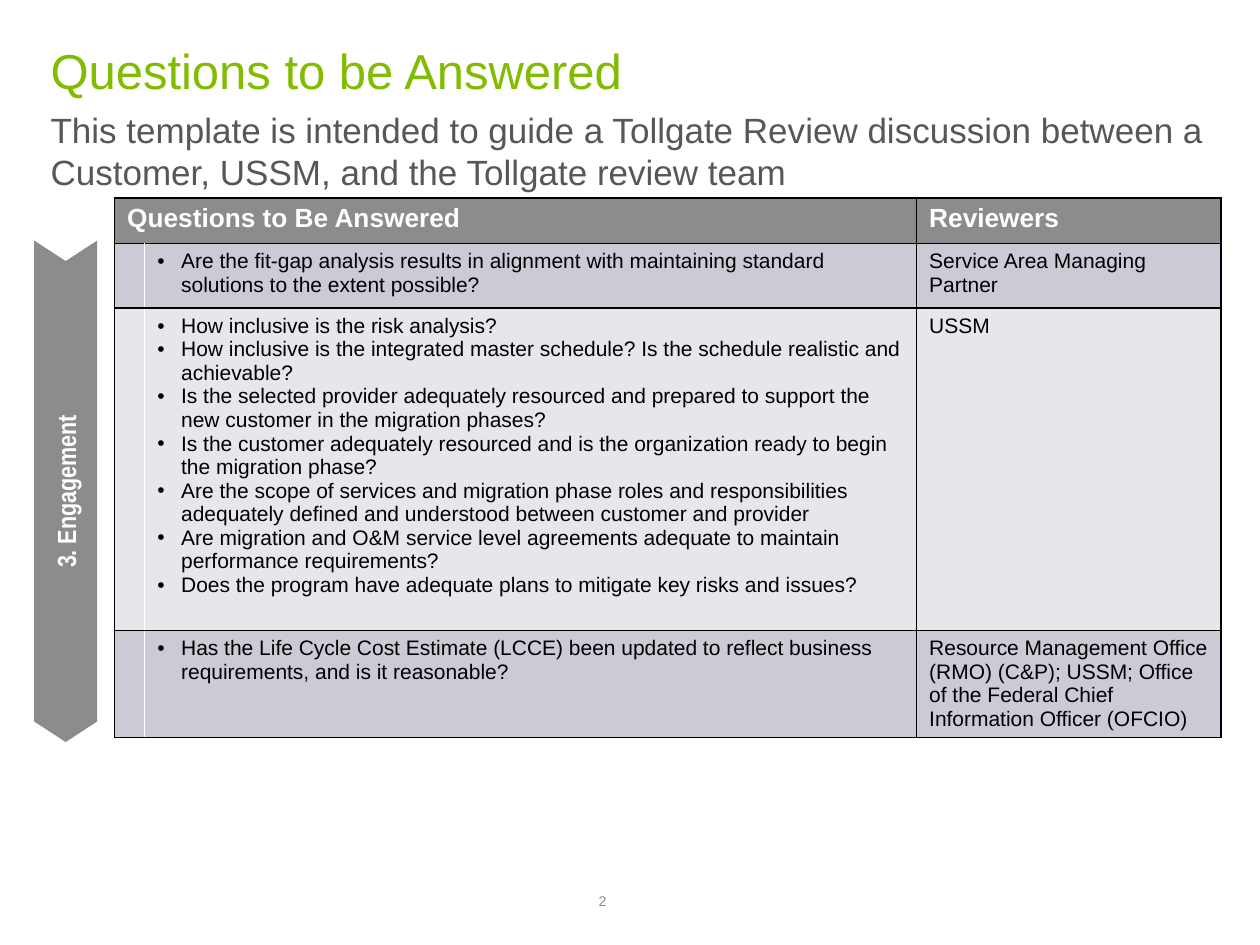
import pptx
import pptx.dml.color
import pptx.enum.shapes
import pptx.enum.text
import pptx.oxml
import pptx.oxml.ns
import pptx.util
from pptx.util import Cm

COLORS = {
    "title": "81BC00", "subtitle": "575757", "gray": "8C8C8C", "white": "FFFFFF",
    "black": "000000", "dark_band": "CACBD5", "light_band": "E6E7EB",
}
ANCHOR = pptx.enum.text.MSO_ANCHOR
COLUMN_WIDTHS = [0.6, 15.56, 6.14]
ROW_HEIGHTS = [0.92, 1.3, 6.5, 2.16]
HEADERS = ["Questions to Be Answered", "Reviewers"]
REVIEWS = [
    (["Are the fit-gap analysis results in alignment with maintaining standard solutions to the extent possible?"],
     "Service Area Managing Partner"),
    (["How inclusive is the risk analysis?",
      "How inclusive is the integrated master schedule? Is the schedule realistic and achievable?",
      "Is the selected provider adequately resourced and prepared to support the new customer in the migration phases?",
      "Is the customer adequately resourced and is the organization ready to begin the migration phase?",
      "Are the scope of services and migration phase roles and responsibilities adequately defined and understood "
      "between customer and provider",
      "Are migration and O&M service level agreements adequate to maintain performance requirements?",
      "Does the program have adequate plans to mitigate key risks and issues?"],
     "USSM"),
    (["Has the Life Cycle Cost Estimate (LCCE) been updated to reflect business requirements, and is it reasonable?"],
     "Resource Management Office (RMO) (C&P); USSM; Office of the Federal Chief Information Officer (OFCIO)"),
]


def rgb(name):
    """Return the named color."""
    return pptx.dml.color.RGBColor.from_string(COLORS[name])


def set_attributes(target, values):
    """Set each named attribute of the target."""
    for name, value in values.items():
        setattr(target, name, value)


def write_text(frame, lines, size, color, bold=False, font="Arial", align="LEFT"):
    """Write one formatted paragraph per line."""
    frame.text = "\n".join(lines)
    for paragraph in frame.paragraphs:
        paragraph.alignment = getattr(pptx.enum.text.PP_ALIGN, align)
        for run in paragraph.runs:
            set_attributes(run.font, {"name": font, "size": pptx.util.Pt(size), "bold": bold})
            run.font.color.rgb = rgb(color)


def format_box(shape, box, anchor=ANCHOR.TOP):
    """Place a shape and clear the insets of its text."""
    set_attributes(shape, dict(zip(("left", "top", "width", "height"), map(Cm, box))))
    set_attributes(shape.text_frame, {
        "margin_left": 0, "margin_top": 0, "margin_right": 0, "margin_bottom": 0,
        "word_wrap": True, "auto_size": pptx.enum.text.MSO_AUTO_SIZE.NONE, "vertical_anchor": anchor,
    })


def add_text(slide, box, text, size, color, anchor=ANCHOR.TOP):
    """Add a text box."""
    shape = slide.shapes.add_textbox(0, 0, 0, 0)
    format_box(shape, box, anchor)
    write_text(shape.text_frame, [text], size, color)


def add_phase_chevron(slide, box, text):
    """Add the downward chevron that names the phase."""
    shape = slide.shapes.add_shape(pptx.enum.shapes.MSO_SHAPE.CHEVRON, 0, 0, 0, 0)
    format_box(shape, box, ANCHOR.MIDDLE)
    shape.adjustments[0] = 0.326
    shape.rotation = 270
    shape.shadow.inherit = False
    shape.fill.solid()
    shape.fill.fore_color.rgb = rgb("gray")
    shape.line.fill.background()
    shape._element.spPr.find(pptx.oxml.ns.qn("a:xfrm")).set("flipH", "1")
    write_text(shape.text_frame, [text], 15, "white", True, "Arial Narrow", "CENTER")


def format_cell(cell, fill, left="black", right="black"):
    """Fill a cell and draw its four borders."""
    properties = cell._tc.get_or_add_tcPr()
    for side, color in zip("LRTB", (left, right, "black", "black")):
        properties.append(pptx.oxml.parse_xml(
            f'<a:ln{side} {pptx.oxml.ns.nsdecls("a")} w="12700"><a:solidFill>'
            f'<a:srgbClr val="{COLORS[color]}"/></a:solidFill></a:ln{side}>'))
    cell.fill.solid()
    cell.fill.fore_color.rgb = rgb(fill)


def add_bullets(frame):
    """Give each paragraph a hanging bullet."""
    for paragraph in frame.paragraphs:
        properties = paragraph._p.get_or_add_pPr()
        properties.set("marL", str(Cm(0.48)))
        properties.set("indent", str(-Cm(0.48)))
        for content in (f'buClr {pptx.oxml.ns.nsdecls("a")}><a:srgbClr val="{COLORS["black"]}"/></a:buClr>',
                        f'buFont {pptx.oxml.ns.nsdecls("a")} typeface="Arial"/>',
                        f'buChar {pptx.oxml.ns.nsdecls("a")} char="•"/>'):
            properties.append(pptx.oxml.parse_xml("<a:" + content))


def add_review_table(slide, left, top):
    """Add the table of questions and reviewers."""
    table = slide.shapes.add_table(
        len(ROW_HEIGHTS), len(COLUMN_WIDTHS), Cm(left), Cm(top),
        Cm(sum(COLUMN_WIDTHS)), Cm(sum(ROW_HEIGHTS))).table
    for column, width in zip(table.columns, COLUMN_WIDTHS):
        column.width = Cm(width)
    for row, height in zip(table.rows, ROW_HEIGHTS):
        row.height = Cm(height)
    for cell in table.rows[0].cells:
        format_cell(cell, "gray")
    table.cell(0, 0).merge(table.cell(0, 1))
    for column, header in zip((0, 2), HEADERS):
        write_text(table.cell(0, column).text_frame, [header], 15, "white", True)
    for index, (questions, reviewer) in enumerate(REVIEWS, 1):
        band = "dark_band" if index % 2 else "light_band"
        marker, question_cell, reviewer_cell = table.rows[index].cells
        format_cell(marker, band, right="white")
        format_cell(question_cell, band, left="white")
        format_cell(reviewer_cell, band)
        write_text(question_cell.text_frame, questions, 12, "black")
        add_bullets(question_cell.text_frame)
        write_text(reviewer_cell.text_frame, [reviewer], 12, "black")


def main():
    """Build and save the slide."""
    presentation = pptx.Presentation()
    set_attributes(presentation, {"slide_width": Cm(25.4), "slide_height": Cm(19.05)})
    slide = presentation.slides.add_slide(presentation.slide_layouts[5])
    title = slide.shapes.title
    format_box(title, (1.02, 0.81, 23.37, 1.3))
    write_text(title.text_frame, ["Questions to be Answered"], 28, "title")
    add_text(slide, (1.02, 2.18, 23.37, 2.11),
             "This template is intended to guide a Tollgate Review discussion between a Customer, USSM, "
             "and the Tollgate review team", 20, "subtitle")
    add_phase_chevron(slide, (-3.73, 9.27, 10.11, 1.27), "3. Engagement")
    add_review_table(slide, 2.31, 3.99)
    add_text(slide, (12.07, 18.01, 1.27, 0.33), "2", 8, "gray", ANCHOR.BOTTOM)
    presentation.save("out.pptx")


if __name__ == "__main__":
    main()
